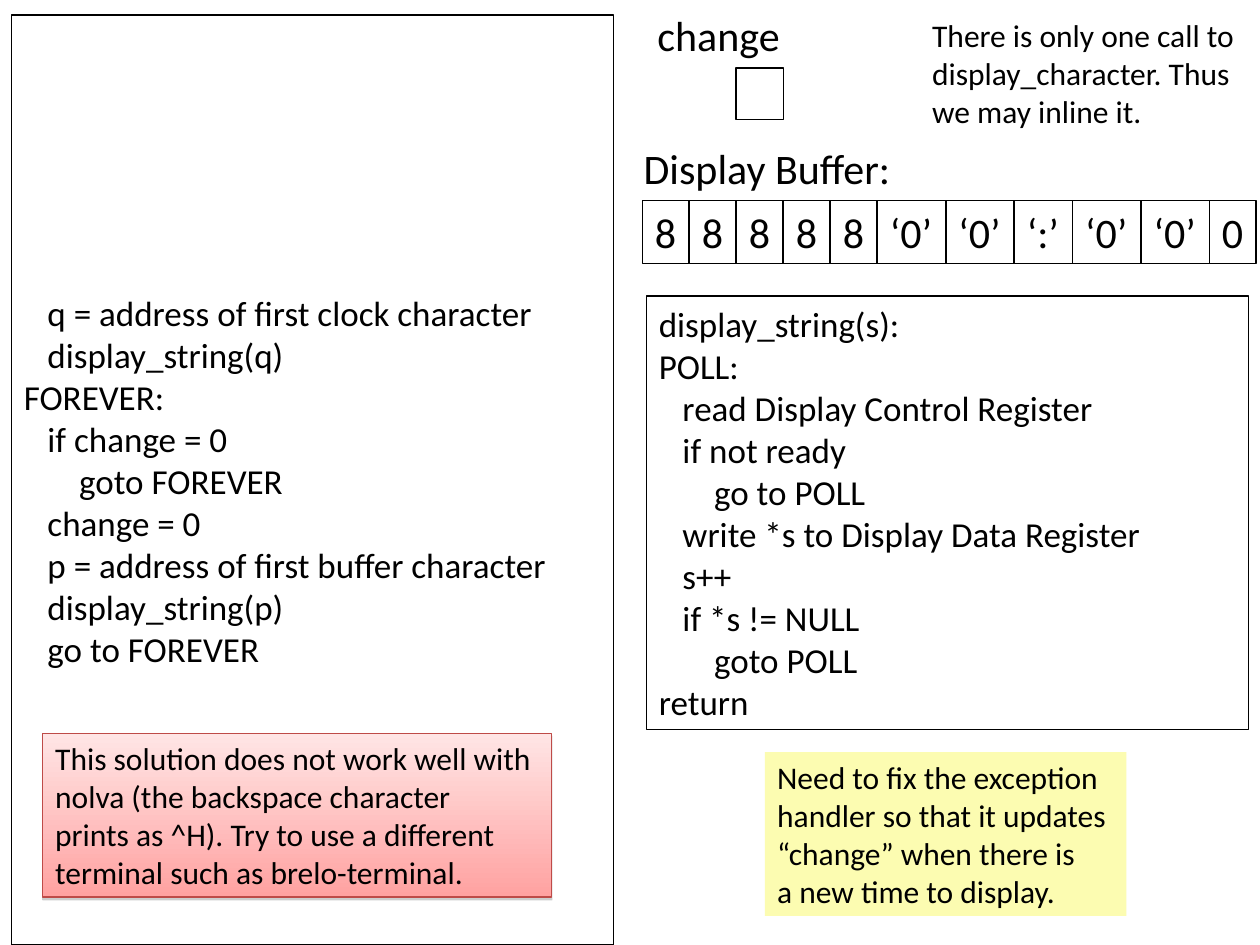
from dataclasses import dataclass

from lxml import etree
from pptx import Presentation
from pptx import util as u
from pptx.dml.color import RGBColor
from pptx.enum import shapes, text
from pptx.oxml import ns


@dataclass(frozen=True)
class Theme:
    font: str = "Calibri"
    ink: str = "000000"
    note: str = "FCFCB1"
    warn_top: str = "FFE5E5"
    warn_bottom: str = "FFA2A1"
    warn_line: str = "BE4B48"
    shadow: str = "808080"
    label_size: int = 24
    code_size: int = 20
    note_size: int = 18
    line_width: float = 0.75


THEME = Theme()
WIDTH, HEIGHT = u.Inches(10), u.Inches(7.5)
COLS, ROWS = 100, 75
INDENTS = (0, 1.88, 4.39)  # code nesting levels, in grid columns

MAIN_CODE = [
    (1, "q = address of first clock character"),
    (1, "display_string(q)"),
    (0, "FOREVER:"),
    (1, "if change = 0"),
    (2, "goto FOREVER"),
    (1, "change = 0"),
    (1, "p = address of first buffer character"),
    (1, "display_string(p)"),
    (1, "go to FOREVER"),
]
DISPLAY_CODE = [
    (0, "display_string(s):"),
    (0, "POLL:"),
    (1, "read Display Control Register"),
    (1, "if not ready"),
    (2, "go to POLL"),
    (1, "write *s to Display Data Register"),
    (1, "s++"),
    (1, "if *s != NULL"),
    (2, "goto POLL"),
    (0, "return"),
]
BUFFER = ["8"] * 5 + ["‘0’", "‘0’", "‘:’", "‘0’", "‘0’", "0"]
CELL_WIDTHS = {"8": 3.7, "0": 3.7, "‘0’": 5.4, "‘:’": 4.6}


def col(n):
    return round(WIDTH * n / COLS)


def row(n):
    return round(HEIGHT * n / ROWS)


def rgb(value):
    return RGBColor.from_string(value)


def write(sp, lines, size, wrap=False, anchor=text.MSO_ANCHOR.TOP):
    """Fill a shape with (level, words) lines, one paragraph each."""
    tf = sp.text_frame
    tf.word_wrap = wrap
    tf.vertical_anchor = anchor
    for i, (level, words) in enumerate(lines):
        p = tf.paragraphs[0] if i == 0 else tf.add_paragraph()
        p.alignment = text.PP_ALIGN.LEFT
        if level:
            p._p.get_or_add_pPr().set("marL", str(col(INDENTS[level])))
        r = p.add_run()
        r.text = words
        r.font.name = THEME.font
        r.font.size = u.Pt(size)
        r.font.color.rgb = rgb(THEME.ink)


def flat(*lines):
    return [(0, words) for words in lines]


def add_box(s, x, y, w, h, line=THEME.ink, fill=None):
    sp = s.shapes.add_shape(shapes.MSO_SHAPE.RECTANGLE,
                            col(x), row(y), col(w), row(h))
    sp.shadow.inherit = False
    if fill:
        sp.fill.solid()
        sp.fill.fore_color.rgb = rgb(fill)
    else:
        sp.fill.background()
    if line:
        sp.line.color.rgb = rgb(line)
        sp.line.width = u.Pt(THEME.line_width)
    else:
        sp.line.fill.background()
    return sp


def add_label(s, x, y, w, h, lines, size):
    write(s.shapes.add_textbox(col(x), row(y), col(w), row(h)), lines, size)


def add_buffer(s, x, y, right, h):
    """Row of cells, spread evenly from x to right."""
    widths = [CELL_WIDTHS[value] for value in BUFFER]
    gap = (right - x - sum(widths)) / (len(widths) - 1)
    for value, w in zip(BUFFER, widths):
        write(add_box(s, x, y, w, h), flat(value), THEME.label_size)
        x += w + gap


def add_warning(s, x, y, w, h, lines):
    sp = add_box(s, x, y, w, h, line=THEME.warn_line)
    sp.fill.gradient()
    sp.fill.gradient_angle = 270
    for stop, colour, place in zip(sp.fill.gradient_stops,
                                   (THEME.warn_top, THEME.warn_bottom), (0, 1)):
        stop.color.rgb = rgb(colour)
        stop.position = place
    # Soft shadow straight below
    effects = sp._element.spPr.find(ns.qn("a:effectLst"))
    shadow = etree.SubElement(effects, ns.qn("a:outerShdw"), dist=str(u.Pt(1.6)),
                              dir="5400000", rotWithShape="0")
    colour = etree.SubElement(shadow, ns.qn("a:srgbClr"), val=THEME.shadow)
    etree.SubElement(colour, ns.qn("a:alpha"), val="38000")
    write(sp, lines, THEME.note_size)


def main():
    prs = Presentation()
    prs.slide_width, prs.slide_height = WIDTH, HEIGHT
    s = prs.slides.add_slide(prs.slide_layouts[6])

    # Main program
    write(add_box(s, 0.9, 1.2, 47.8, 73.8), MAIN_CODE, THEME.code_size,
          wrap=True, anchor=text.MSO_ANCHOR.MIDDLE)

    # Variables: display buffer and change flag
    add_buffer(s, 51, 15.9, 99.7, 5)
    add_box(s, 58.4, 5.4, 3.8, 4.1)
    add_label(s, 51.2, 0.3, 11.7, 5, flat("change"), THEME.label_size)
    add_label(s, 50.1, 10.8, 21.8, 5, flat("Display Buffer:"), THEME.label_size)

    # Display routine
    write(add_box(s, 51.3, 23.5, 47.8, 34.4), DISPLAY_CODE, THEME.code_size,
          wrap=True)

    # Remarks
    add_label(s, 73, 0.8, 26, 10,
              flat("There is only one call to", "display_character. Thus",
                   "we may inline it."), THEME.note_size)
    write(add_box(s, 60.7, 59.7, 28.7, 13, line=None, fill=THEME.note),
          flat("Need to fix the exception", "handler so that it updates",
               "“change” when there is", "a new time to display."),
          THEME.note_size)
    add_warning(s, 3.4, 58.2, 40.4, 13,
                flat("This solution does not work well with",
                     "nolva (the backspace character",
                     "prints as ^H). Try to use a different",
                     "terminal such as brelo-terminal."))

    prs.save("out.pptx")


if __name__ == "__main__":
    main()
